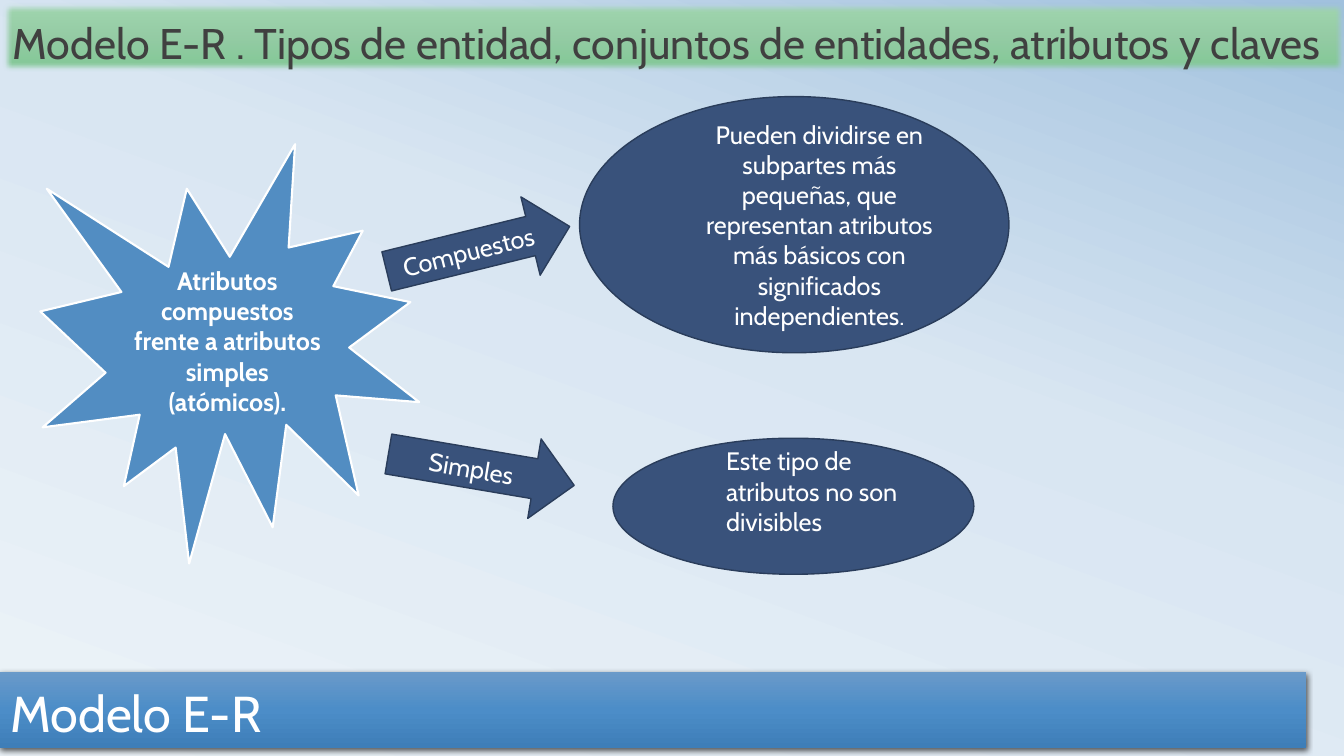
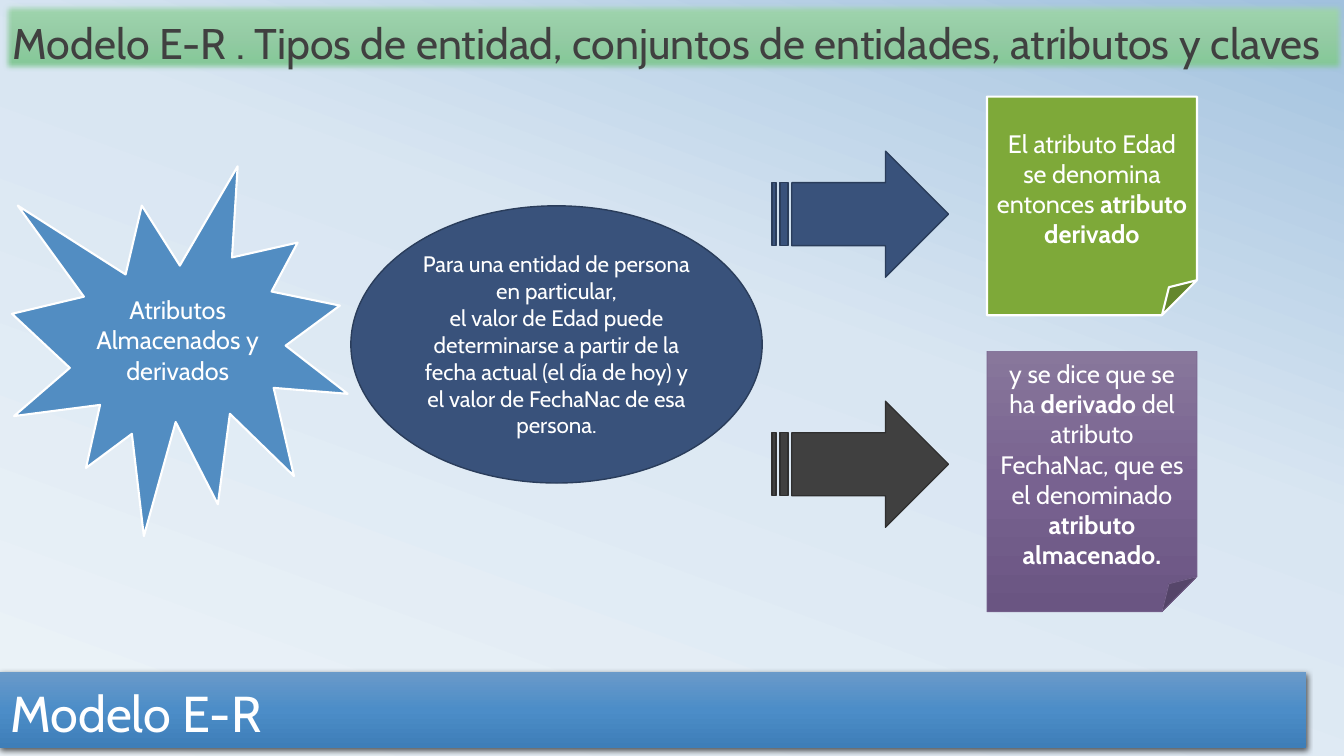
"""Build two slides on attribute types in the entity-relationship model."""
from copy import deepcopy
from dataclasses import dataclass
from typing import NamedTuple

from lxml.etree import SubElement
from pptx import Presentation
from pptx.dml.color import RGBColor
from pptx.enum.shapes import MSO_SHAPE as Preset
from pptx.enum.text import MSO_ANCHOR as Anchor, MSO_AUTO_SIZE as AutoSize, PP_ALIGN as Align
from pptx.oxml.ns import qn
from pptx.util import Pt


@dataclass(frozen=True)
class Theme:
    font: str = "Cabin"
    title_size: float = 36
    band_size: float = 30.6
    body_size: float = 18
    small_size: float = 16
    white: str = "FFFFFF"
    dark: str = "404040"
    dark_line: str = "2F2F2F"
    navy: str = "39527B"
    navy_line: str = "2A3D5B"
    blue: str = "528DC2"
    green: str = "7EA939"
    band_line: str = "31A962"
    purple_line: str = "78648E"
    shadow: str = "000000"
    sky: tuple = ((0, "ECF3F8"), (0.58, "D9E6F2"), (1, "A1C1DE"))
    title_fill: tuple = ((0, "6A9AC9"), (0.5, "4C8DC8"), (1, "3E7EB8"))
    band_fill: tuple = ((0, "A1D6AF"), (0.5, "94CBA4"), (1, "80C794"))
    purple: tuple = ((0, "88779B"), (0.5, "786290"), (1, "6A5582"))


THEME = Theme()
TITLE = "Modelo E-R"
BAND_TEXT = "Modelo E-R . Tipos de entidad, conjuntos de entidades, atributos y claves"


class Box(NamedTuple):
    left: float
    top: float
    width: float
    height: float


class Style(NamedTuple):
    fill: str | tuple
    line: str
    line_width: float


class Words(NamedTuple):
    text: str
    bold: bool = False


@dataclass(frozen=True)
class Figure:
    preset: Preset
    box: Box
    style: Style
    paragraphs: tuple[tuple[Words, ...], ...] = ()
    size: float = THEME.body_size
    color: str = THEME.white
    align: Align = Align.CENTER
    anchor: Anchor = Anchor.MIDDLE
    spacing: float = 1.0
    indent: float = 0
    bottom_inset: float = 3.6
    rotation: float = 0


NAVY = Style(THEME.navy, THEME.navy_line, 1)
DARK = Style(THEME.dark, THEME.dark_line, 1)
SEAL = Style(THEME.blue, THEME.white, 1.5)
GREEN_NOTE = Style(THEME.green, THEME.white, 1.5)
PURPLE_NOTE = Style(THEME.purple, THEME.purple_line, 0.5)
BAND = Figure(
    Preset.RECTANGLE, Box(2, 2, 958, 49), Style(THEME.band_fill, THEME.band_line, 0.5),
    ((Words(BAND_TEXT),),), THEME.band_size, THEME.dark, Align.LEFT, Anchor.BOTTOM, 0.7,
)


def arrow(box: Box, label: str, rotation: float) -> Figure:
    """Describe a tilted arrow with a label."""
    return Figure(Preset.RIGHT_ARROW, box, NAVY, ((Words(label),),), rotation=rotation)


COMPOSITE_SLIDE = (
    Figure(Preset.EXPLOSION1, Box(28.8, 103, 270.7, 299.5), SEAL,
           ((Words("Atributos compuestos frente a atributos simples (atómicos).", True),),)),
    Figure(Preset.OVAL, Box(414, 69, 306.7, 183), NAVY,
           ((Words("Pueden dividirse en subpartes más pequeñas, que representan "
                   "atributos más básicos con significados independientes."),),), indent=36),
    Figure(Preset.OVAL, Box(437.8, 313, 257.8, 97.2), NAVY,
           ((Words("Este tipo de atributos no son divisibles"),),),
           align=Align.LEFT, indent=36, bottom_inset=25.2),
    arrow(Box(274.3, 149, 134.6, 57.6), "Compuestos", 346.2),
    arrow(Box(276.5, 306.7, 134.6, 57.6), "Simples", 9.6),
)

DERIVED_SLIDE = (
    Figure(Preset.EXPLOSION1, Box(8.6, 118.8, 239.8, 264.2), SEAL,
           ((Words("Atributos Almacenados y derivados"),),)),
    Figure(Preset.OVAL, Box(250.6, 147, 293.8, 198), NAVY,
           ((Words("Para una entidad de persona en particular,"),),
            (Words("el valor de Edad puede determinarse a partir de la fecha actual "
                   "(el día de hoy) y el valor de FechaNac de esa"),),
            (Words("persona."),)), THEME.small_size),
    Figure(Preset.FOLDED_CORNER, Box(705, 69, 150, 156.2), GREEN_NOTE,
           ((Words("El atributo Edad se denomina entonces "), Words("atributo derivado", True)),)),
    Figure(Preset.FOLDED_CORNER, Box(705, 251, 150, 186), PURPLE_NOTE,
           ((Words("y se dice que se ha "), Words("derivado ", True), Words("del atributo")),
            (Words("FechaNac, que es el denominado "), Words("atributo almacenado.", True)))),
    Figure(Preset.STRIPED_RIGHT_ARROW, Box(551.5, 108, 126, 90), NAVY),
    Figure(Preset.STRIPED_RIGHT_ARROW, Box(551.5, 286.6, 126, 90), DARK),
)


def paint(owner, fill, paint_value: str | tuple, angle: float = 270) -> None:
    """Fill with one colour or with a gradient of three stops."""
    if isinstance(paint_value, str):
        fill.solid()
        fill.fore_color.rgb = RGBColor.from_string(paint_value)
        return
    fill.gradient()
    fill.gradient_angle = angle
    stop_list = owner.find(".//" + qn("a:gsLst"))
    stop_list.insert(1, deepcopy(stop_list[0]))
    for stop, (position, color) in zip(fill.gradient_stops, paint_value):
        stop.position = position
        stop.color.rgb = RGBColor.from_string(color)


def add_effect(shape, tag: str, **attributes: str):
    """Add one visual effect to a shape and return its element."""
    effects = shape._element.spPr.find(qn("a:effectLst"))
    return SubElement(effects, qn(tag), attributes)


def place(shape, box: Box) -> None:
    """Move and size a shape."""
    shape.left, shape.top, shape.width, shape.height = (Pt(length) for length in box)


def format_paragraph(paragraph, size: float, color: str, align: Align, spacing: float) -> None:
    """Apply the theme font and the layout of a paragraph."""
    paragraph.alignment = align
    paragraph.line_spacing = spacing
    paragraph.space_before = paragraph.space_after = Pt(0)
    paragraph.font.name = THEME.font
    paragraph.font.size = Pt(size)
    paragraph.font.color.rgb = RGBColor.from_string(color)


def format_frame(frame, anchor: Anchor, bottom_inset: float = 3.6) -> None:
    """Set wrapping, anchor and insets of a text frame."""
    frame.word_wrap = True
    frame.auto_size = AutoSize.NONE
    frame.vertical_anchor = anchor
    frame.margin_left = frame.margin_right = Pt(7.2)
    frame.margin_top, frame.margin_bottom = Pt(3.6), Pt(bottom_inset)


def write(frame, figure: Figure) -> None:
    """Write the paragraphs of a figure."""
    format_frame(frame, figure.anchor, figure.bottom_inset)
    for index, words in enumerate(figure.paragraphs):
        paragraph = frame.add_paragraph() if index else frame.paragraphs[0]
        if figure.indent:
            paragraph._p.get_or_add_pPr().set("marL", str(Pt(figure.indent)))
        format_paragraph(paragraph, figure.size, figure.color, figure.align, figure.spacing)
        all_bold = all(part.bold for part in words)
        paragraph.font.bold = all_bold
        for part in words:
            run = paragraph.add_run()
            run.text = part.text
            if part.bold and not all_bold:
                run.font.bold = True


def draw(slide, figure: Figure):
    """Draw a figure and return its shape."""
    shape = slide.shapes.add_shape(figure.preset, *(Pt(length) for length in figure.box))
    shape.rotation = figure.rotation
    shape.shadow.inherit = False
    paint(shape._element, shape.fill, figure.style.fill)
    shape.line.color.rgb = RGBColor.from_string(figure.style.line)
    shape.line.width = Pt(figure.style.line_width)
    if figure.paragraphs:
        write(shape.text_frame, figure)
    return shape


def draw_title(slide) -> None:
    """Format the title placeholder as the bottom bar."""
    title = slide.shapes.title
    place(title, Box(0, 480, 933, 54))
    paint(title._element, title.fill, THEME.title_fill)
    title.shadow.inherit = False
    shadow = add_effect(title, "a:outerShdw", blurRad=str(Pt(4.5)), dist=str(Pt(1.5)),
                        dir="5400000", algn="ctr", rotWithShape="0")
    color = SubElement(shadow, qn("a:srgbClr"), val=THEME.shadow)
    SubElement(color, qn("a:alpha"), val="63000")
    title.text_frame.text = TITLE
    format_frame(title.text_frame, Anchor.BOTTOM)
    format_paragraph(title.text_frame.paragraphs[0], THEME.title_size, THEME.white,
                     Align.LEFT, 0.8)


def add_slide(presentation, figures: tuple[Figure, ...]) -> None:
    """Add a slide with the shared bars and its own figures."""
    slide = presentation.slides.add_slide(presentation.slide_layouts[5])
    draw_title(slide)
    add_effect(draw(slide, BAND), "a:softEdge", rad=str(Pt(5)))
    for figure in figures:
        draw(slide, figure)


def main() -> None:
    """Build and save the presentation."""
    presentation = Presentation()
    presentation.slide_width, presentation.slide_height = Pt(960), Pt(540)
    master = presentation.slide_master
    paint(master.element, master.background.fill, THEME.sky, 70)
    for figures in (COMPOSITE_SLIDE, DERIVED_SLIDE):
        add_slide(presentation, figures)
    presentation.save("out.pptx")


if __name__ == "__main__":
    main()
